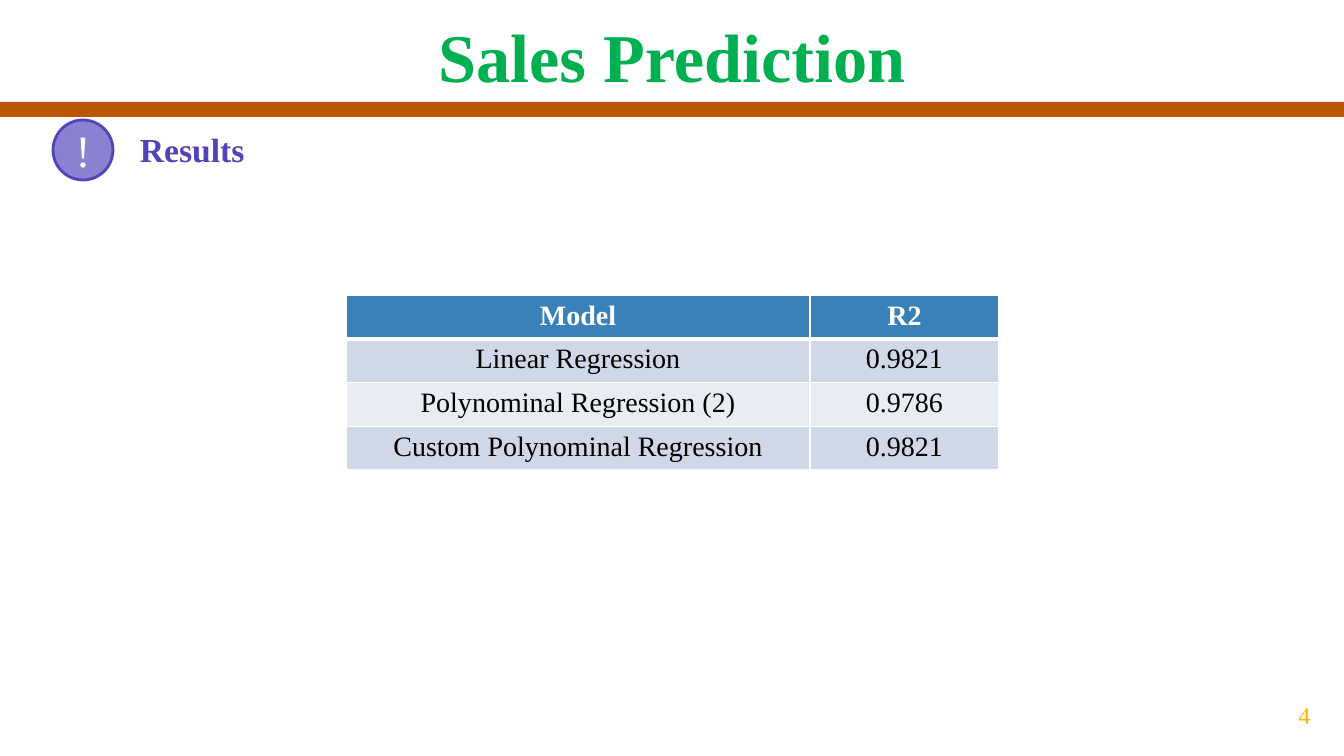
"""Build the Sales Prediction results slide with its model score table."""
from lxml.etree import SubElement
from pptx import Presentation
from pptx.dml.color import RGBColor
from pptx.enum.shapes import MSO_SHAPE as SHAPE
from pptx.enum.text import MSO_ANCHOR as ANCHOR, PP_ALIGN as ALIGN
from pptx.oxml.ns import qn
from pptx.util import Pt

PX = 914400 / 100.8
COLORS = {
    "white": "FFFFFF", "black": "000000", "green": "00B050", "rust": "BD5600",
    "indigo": "5243BB", "lavender": "8B81D2", "amber": "FFB600",
    "header": "3A81BA", "band": "CED8E7", "pale": "E8EDF3",
}


def px(*lengths):
    return [round(length * PX) for length in lengths]


def write(frame, words, size, color, bold=False, align=ALIGN.CENTER, anchor=ANCHOR.MIDDLE):
    frame.word_wrap = True
    frame.vertical_anchor = anchor
    paragraph = frame.paragraphs[0]
    paragraph.alignment = align
    run = paragraph.add_run()
    run.text = words
    run.font.name = "Times New Roman"
    run.font.size = Pt(size)
    run.font.bold = bold
    run.font.color.rgb = RGBColor.from_string(COLORS[color])


deck = Presentation()
deck.slide_width, deck.slide_height = px(1344, 756)
slide = deck.slides.add_slide(deck.slide_layouts[6])
shapes = slide.shapes

panels = []
for kind, box, fill in [
    (SHAPE.RECTANGLE, (0, 102, 1344, 15), "rust"),
    (SHAPE.ROUNDED_RECTANGLE, (127, 119, 1162, 61), "white"),
    (SHAPE.OVAL, (53, 120, 60, 60), "lavender"),
]:
    panel = shapes.add_shape(kind, *px(*box))
    panel.shadow.inherit = False
    panel.fill.solid()
    panel.fill.fore_color.rgb = RGBColor.from_string(COLORS[fill])
    panel.line.fill.background()
    panels.append(panel)
divider, heading, badge = panels

write(heading.text_frame, "Results", 24, "indigo", bold=True, align=ALIGN.LEFT)
badge.line.color.rgb = RGBColor.from_string(COLORS["indigo"])
badge.line.width = Pt(2)
write(badge.text_frame, "!", 32, "white")

title = shapes.add_textbox(*px(0, 6, 1344, 95))
write(title.text_frame, "Sales Prediction", 48.8, "green", bold=True, anchor=ANCHOR.BOTTOM)
page_number = shapes.add_textbox(*px(1265, 674, 79, 82))
write(page_number.text_frame, "4", 17.3, "amber")

scores = [
    ("Model", "R2"),
    ("Linear Regression", "0.9821"),
    ("Polynominal Regression (2)", "0.9786"),
    ("Custom Polynominal Regression", "0.9821"),
]
score_table = shapes.add_table(len(scores), 2, *px(346, 295, 653, 164)).table
for column, width in zip(score_table.columns, px(464, 189)):
    column.width = width

for r, record in enumerate(scores):
    score_table.rows[r].height = px(41)[0]
    is_header = r == 0
    fill = "header" if is_header else ("pale", "band")[r % 2]
    edges = {"lnL": 1, "lnR": 1, "lnT": 3 if r == 1 else 1, "lnB": 3 if is_header else 1}
    for c, words in enumerate(record):
        cell = score_table.cell(r, c)
        properties = cell._tc.get_or_add_tcPr()
        for edge, width in edges.items():
            border = SubElement(properties, qn(f"a:{edge}"), w=str(Pt(width)))
            paint = SubElement(border, qn("a:solidFill"))
            SubElement(paint, qn("a:srgbClr"), val=COLORS["white"])
        cell.fill.solid()
        cell.fill.fore_color.rgb = RGBColor.from_string(COLORS[fill])
        write(cell.text_frame, words, 20, "white" if is_header else "black", bold=is_header)

deck.save("out.pptx")
